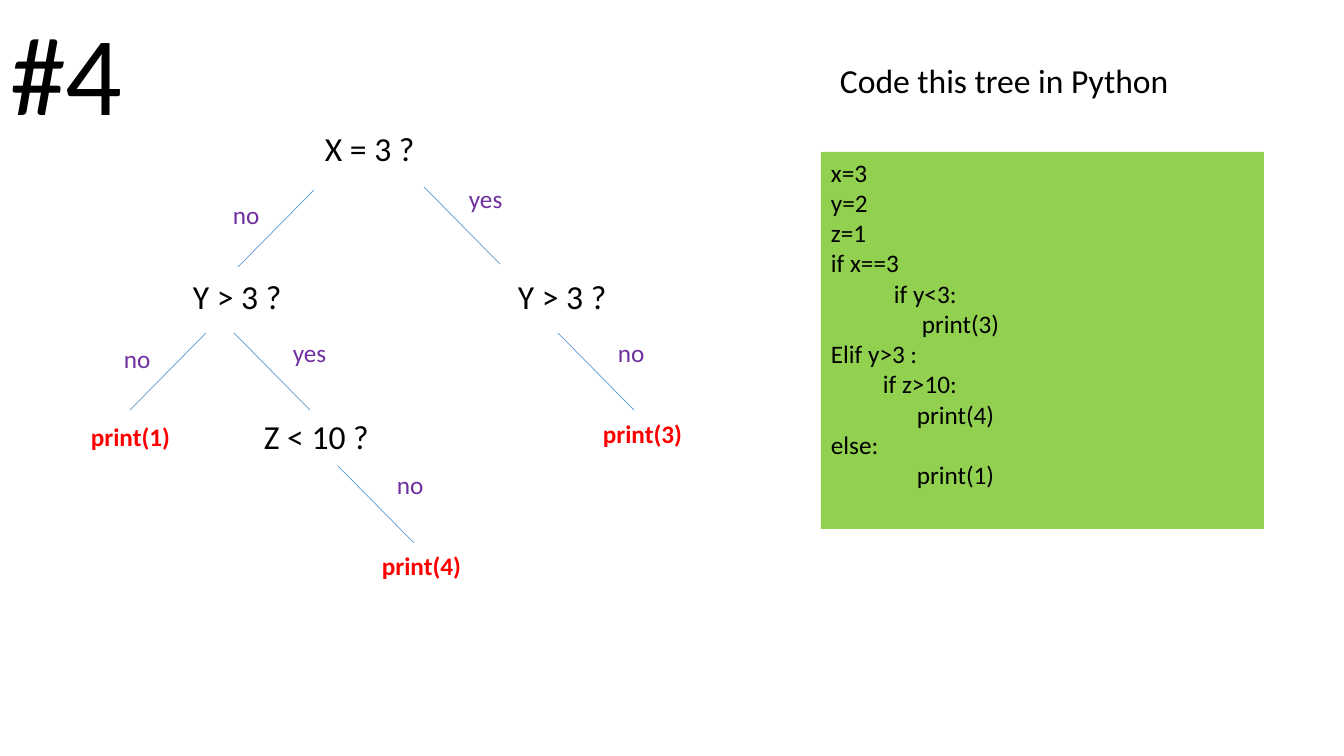
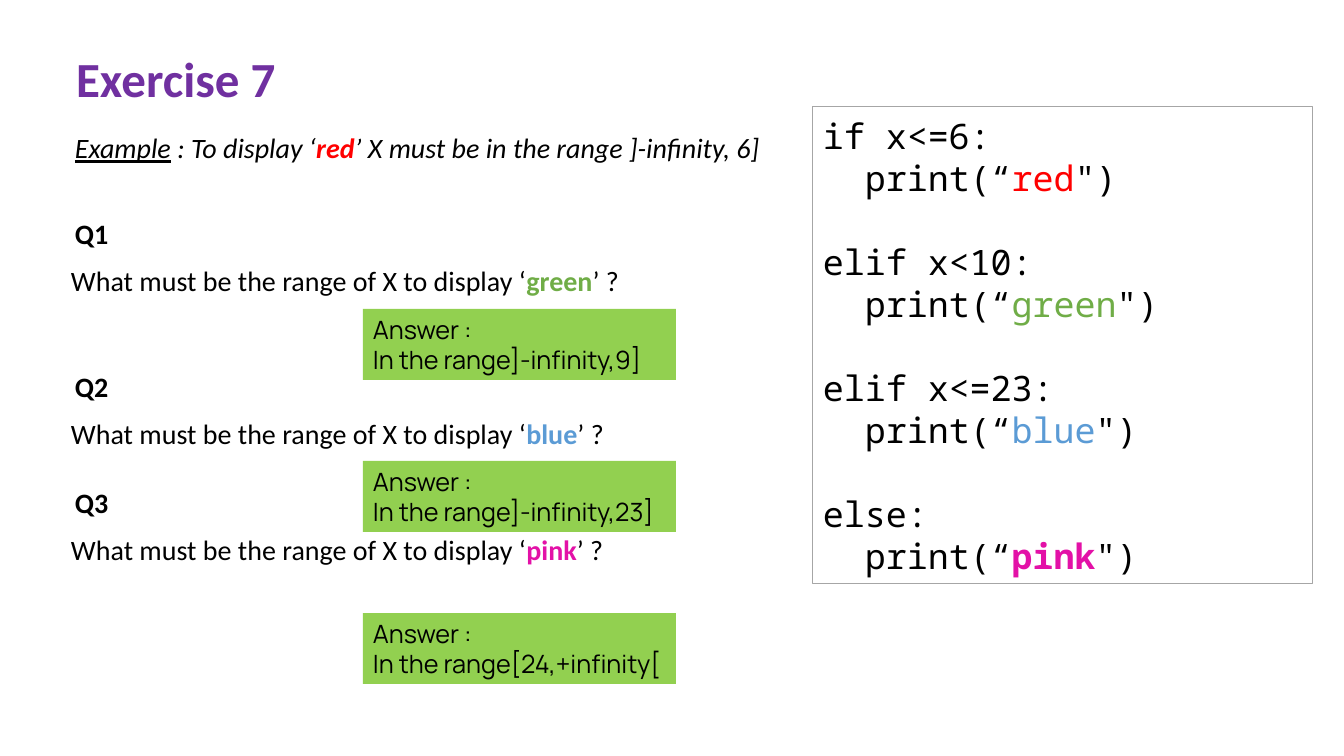
from pptx import Presentation
from pptx.dml.color import RGBColor
from pptx.enum.shapes import MSO_CONNECTOR, MSO_SHAPE
from pptx.enum.text import MSO_ANCHOR, MSO_AUTO_SIZE, PP_ALIGN
from pptx.oxml.ns import qn
from pptx.util import Pt
from lxml import etree

PX = 914400 / 100.8
COLOURS = {
    "black": "000000", "purple": "7030A0", "red": "FF0000", "green": "70AD47",
    "blue": "5B9BD5", "pink": "E311A7", "answer": "92D050", "frame": "A6A6A6",
}
RGB = {name: RGBColor.from_string(value) for name, value in COLOURS.items()}


def emu(*pixels):
    """Turn pixel lengths into EMU."""
    return [round(p * PX) for p in pixels]


def write(shape, box, lines, size, font="Calibri", wrap=False):
    """Place a shape and fill it with (indent, runs) lines; a run is (text, colour, styles)."""
    shape.left, shape.top, shape.width, shape.height = emu(*box)
    frame = shape.text_frame
    frame.auto_size = MSO_AUTO_SIZE.NONE
    frame.word_wrap = wrap
    frame.vertical_anchor = MSO_ANCHOR.TOP
    for i, (indent, runs) in enumerate(lines):
        paragraph = frame.paragraphs[0] if i == 0 else frame.add_paragraph()
        paragraph.alignment = PP_ALIGN.LEFT
        if indent:
            paragraph._p.get_or_add_pPr().set("marL", str(emu(indent)[0]))
        for text, colour, styles in runs:
            run = paragraph.add_run()
            run.text = text
            run.font.name, run.font.size = font, Pt(size)
            run.font.color.rgb = RGB[colour]
            run.font.bold = "b" in styles
            run.font.italic = "i" in styles
            run.font.underline = "u" in styles
    return frame


prs = Presentation()
prs.slide_width, prs.slide_height = emu(1344, 756)
title_only = prs.slide_layouts[5]

# Slide 1: decision tree
tree = prs.slides.add_slide(title_only)
write(tree.shapes.title, (0, -2, 134, 146), [(0, [("#4", "black", "")])], 80)

BRANCH_W, BRANCH_H = 76, 77
branches = [(314, 190, -1), (424, 187, 1), (206, 333, -1),
            (234, 333, 1), (558, 333, 1), (338, 466, 1)]
for x, y, side in branches:
    branch = tree.shapes.add_connector(
        MSO_CONNECTOR.STRAIGHT, *emu(x, y, x + side * BRANCH_W, y + BRANCH_H))
    branch.line.color.rgb = RGB["blue"]
    branch.line.width = Pt(0.5)
    etree.SubElement(branch._element.spPr, qn("a:effectLst"))

# Each kind of label: size, colour, styles, height, [(text, left, top, width)]
labels = [
    (24, "black", "", 50, [
        ("X = 3 ?", 315, 123, 111), ("Y > 3 ?", 183, 271, 111),
        ("Y > 3 ?", 508, 271, 111), ("Z < 10 ?", 254, 411, 126),
        ("Code this tree in Python", 830, 55, 352)]),
    (18, "purple", "", 40, [
        ("yes", 459, 178, 54), ("no", 223, 194, 47), ("yes", 283, 332, 54),
        ("no", 114, 338, 47), ("no", 608, 332, 47), ("no", 387, 464, 47)]),
    (18, "red", "b", 40, [
        ("print(1)", 81, 416, 100), ("print(3)", 593, 413, 100),
        ("print(4)", 372, 545, 100)]),
]
for size, colour, styles, height, places in labels:
    for text, left, top, width in places:
        write(tree.shapes.add_textbox(0, 0, 0, 0), (left, top, width, height),
              [(0, [(text, colour, styles)])], size)

tree_code = [
    (0, "x=3"), (0, "y=2"), (0, "z=1"), (0, "if x==3"), (63, "if y<3:"),
    (91, "print(3)"), (0, "Elif y>3 :"), (52, "if z>10:"), (86, "print(4)"),
    (0, "else:"), (86, "print(1)"),
]
solution = tree.shapes.add_shape(MSO_SHAPE.RECTANGLE, 0, 0, 0, 0)
solution.shadow.inherit = False
solution.fill.solid()
solution.fill.fore_color.rgb = RGB["answer"]
solution.line.fill.background()
write(solution, (821, 152, 443, 377),
      [(indent, [(text, "black", "")]) for indent, text in tree_code], 18, wrap=True)

# Slide 2: ranges of X
exercise = prs.slides.add_slide(title_only)
write(exercise.shapes.title, (66, 43, 222, 70),
      [(0, [("Exercise 7", "purple", "b")])], 35)
write(exercise.shapes.add_textbox(0, 0, 0, 0), (65, 126, 706, 44), [(0, [
    ("Example", "black", "iu"), (" : To display ‘", "black", "i"),
    ("red", "red", "bi"),
    ("’ X must be in the range ]-infinity, 6]", "black", "i")])], 20)

cases = [("if x<=6:", "red", ""), ("elif x<10:", "green", ""),
         ("elif x<=23:", "blue", ""), ("else:", "pink", "b")]
code_lines = []
for condition, colour, styles in cases:
    code_lines += [
        (0, [(condition, "black", "")]),
        (42, [("print(“", "black", ""), (colour, colour, styles), ("\")", "black", "")]),
    ]
listing = exercise.shapes.add_shape(MSO_SHAPE.RECTANGLE, 0, 0, 0, 0)
listing.shadow.inherit = False
listing.fill.background()
listing.line.color.rgb = RGB["frame"]
listing.line.width = Pt(0.75)
code = write(listing, (813, 107, 500, 477), code_lines, 25, "Noto Sans Mono", True)
code.vertical_anchor = MSO_ANCHOR.MIDDLE
for i, paragraph in enumerate(code.paragraphs):
    paragraph.line_spacing = Pt(30)
    paragraph.space_before = Pt(30 if i and i % 2 == 0 else 0)

questions = [(212, "green", 571, "]-infinity,9]"), (365, "blue", 556, "]-infinity,23]"),
             (481, "pink", 555, "[24,+infinity[")]
for i, (top, colour, width, interval) in enumerate(questions):
    write(exercise.shapes.add_textbox(0, 0, 0, 0), (65, top, 60, 44),
          [(0, [(f"Q{i + 1}", "black", "b")])], 20, wrap=True)
    write(exercise.shapes.add_textbox(0, 0, 0, 0), (61, top + 47, width, 44), [(0, [
        ("What must be the range of X to display ‘", "black", ""),
        (colour, colour, "b"), ("’ ?", "black", "")])], 20)
    answer = exercise.shapes.add_shape(MSO_SHAPE.RECTANGLE, 0, 0, 0, 0)
    answer.shadow.inherit = False
    answer.fill.solid()
    answer.fill.fore_color.rgb = RGB["answer"]
    answer.line.fill.background()
    write(answer, (363, 309 + 152 * i, 313, 71),
          [(0, [("Answer :", "black", "")]),
           (0, [(f"In the range{interval}", "black", "")])], 18, "Manrope", True)

prs.save("out.pptx")
